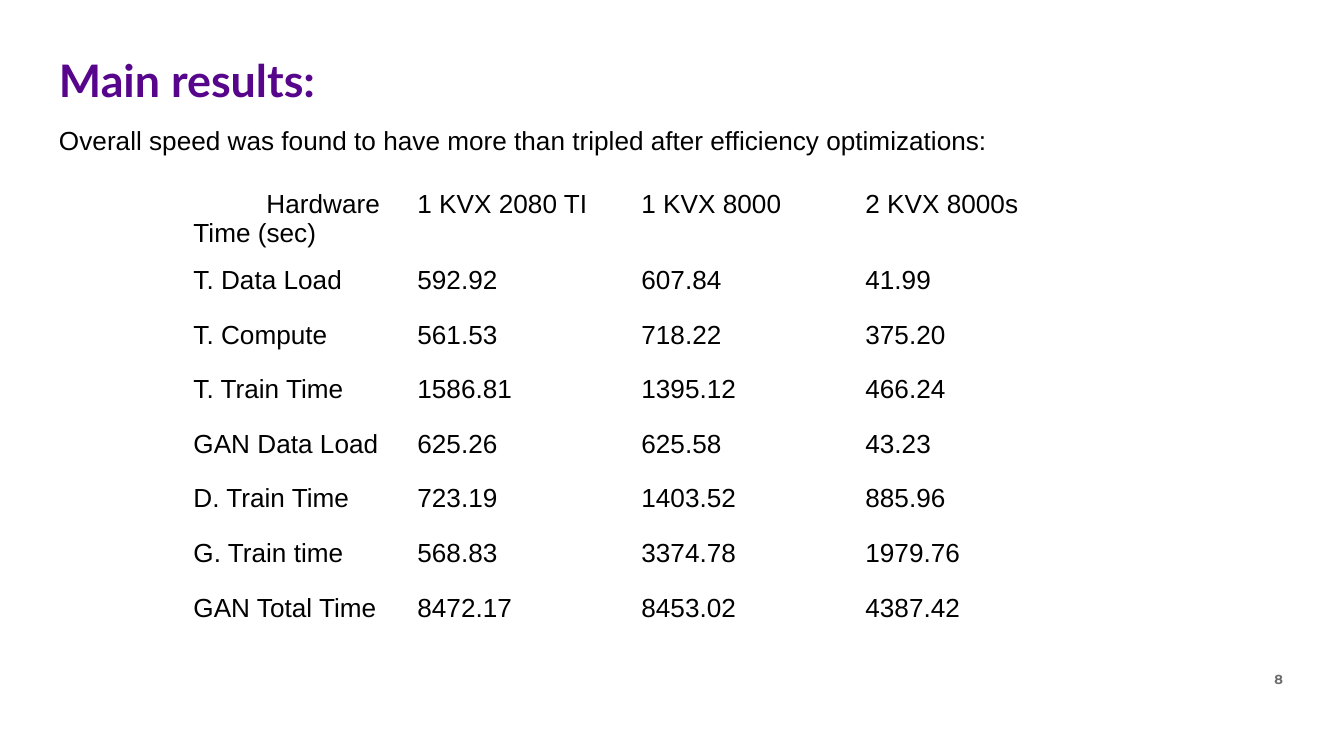
from pptx import Presentation
from pptx.dml.color import RGBColor
from pptx.enum.text import MSO_ANCHOR, PP_ALIGN
from pptx.util import Pt

SCALE = 914400 / 134.4
TOP = MSO_ANCHOR.TOP
LEFT, RIGHT = PP_ALIGN.LEFT, PP_ALIGN.RIGHT
PURPLE = RGBColor(0x57, 0x06, 0x8C)
GRAY = RGBColor(0x6D, 0x6D, 0x6D)
BLACK = RGBColor(0, 0, 0)

HEADER_INDENT = 73
ROWS = [
    ("Hardware\nTime (sec)", "1 KVX 2080 TI", "1 KVX 8000", "2 KVX 8000s"),
    ("T. Data Load", "592.92", "607.84", "41.99"),
    ("T. Compute", "561.53", "718.22", "375.20"),
    ("T. Train Time", "1586.81", "1395.12", "466.24"),
    ("GAN Data Load", "625.26", "625.58", "43.23"),
    ("D. Train Time", "723.19", "1403.52", "885.96"),
    ("G. Train time", "568.83", "3374.78", "1979.76"),
    ("GAN Total Time", "8472.17", "8453.02", "4387.42"),
]


def px(n):
    return round(n * SCALE)


def write(tf, text, size=14, font="Arial", color=BLACK, bold=False,
          align=LEFT, spacing=None):
    for i, line in enumerate(text.split("\n")):
        p = tf.paragraphs[0] if i == 0 else tf.add_paragraph()
        p.alignment = align
        if spacing:
            p.line_spacing = spacing
        r = p.add_run()
        r.text = line
        r.font.size = Pt(size)
        r.font.name = font
        r.font.bold = bold
        r.font.color.rgb = color


def add_text(s, x, y, w, h, text, inset_y=13, **style):
    tf = s.shapes.add_textbox(px(x), px(y), px(w), px(h)).text_frame
    tf.word_wrap = True
    tf.vertical_anchor = TOP
    tf.margin_left = tf.margin_right = px(13)
    tf.margin_top = tf.margin_bottom = px(inset_y)
    write(tf, text, **style)


def add_results_table(s, x, y, w, header_h, body_h):
    n_rows, n_cols = len(ROWS), len(ROWS[0])
    table = s.shapes.add_table(n_rows, n_cols, px(x), px(y), px(w),
                               px(header_h + body_h)).table
    table.first_row = table.horz_banding = False
    for col in table.columns:
        col.width = px(w / n_cols)
    for i, values in enumerate(ROWS):
        table.rows[i].height = px(body_h / (n_rows - 1) if i else header_h)
        for j, value in enumerate(values):
            cell = table.cell(i, j)
            cell.fill.background()
            cell.vertical_anchor = TOP
            write(cell.text_frame, value)
    p = table.cell(0, 0).text_frame.paragraphs[0]
    p._p.get_or_add_pPr().set("marL", str(px(HEADER_INDENT)))


def main():
    prs = Presentation()
    prs.slide_width, prs.slide_height = px(1344), px(756)
    s = prs.slides.add_slide(prs.slide_layouts[6])
    add_text(s, 679, 664, 617, 46, "8", size=7, font="Montserrat",
             color=GRAY, bold=True, align=RIGHT)
    add_text(s, 46, 50, 949, 66, "Main results:", size=24, font="Lato",
             color=PURPLE, bold=True, spacing=0.8)
    add_text(s, 46, 117, 1062, 77,
             "Overall speed was found to have more than tripled "
             "after efficiency optimizations:", inset_y=7)
    add_results_table(s, 180, 183, 896, 76, 382)
    prs.save("out.pptx")


if __name__ == "__main__":
    main()
